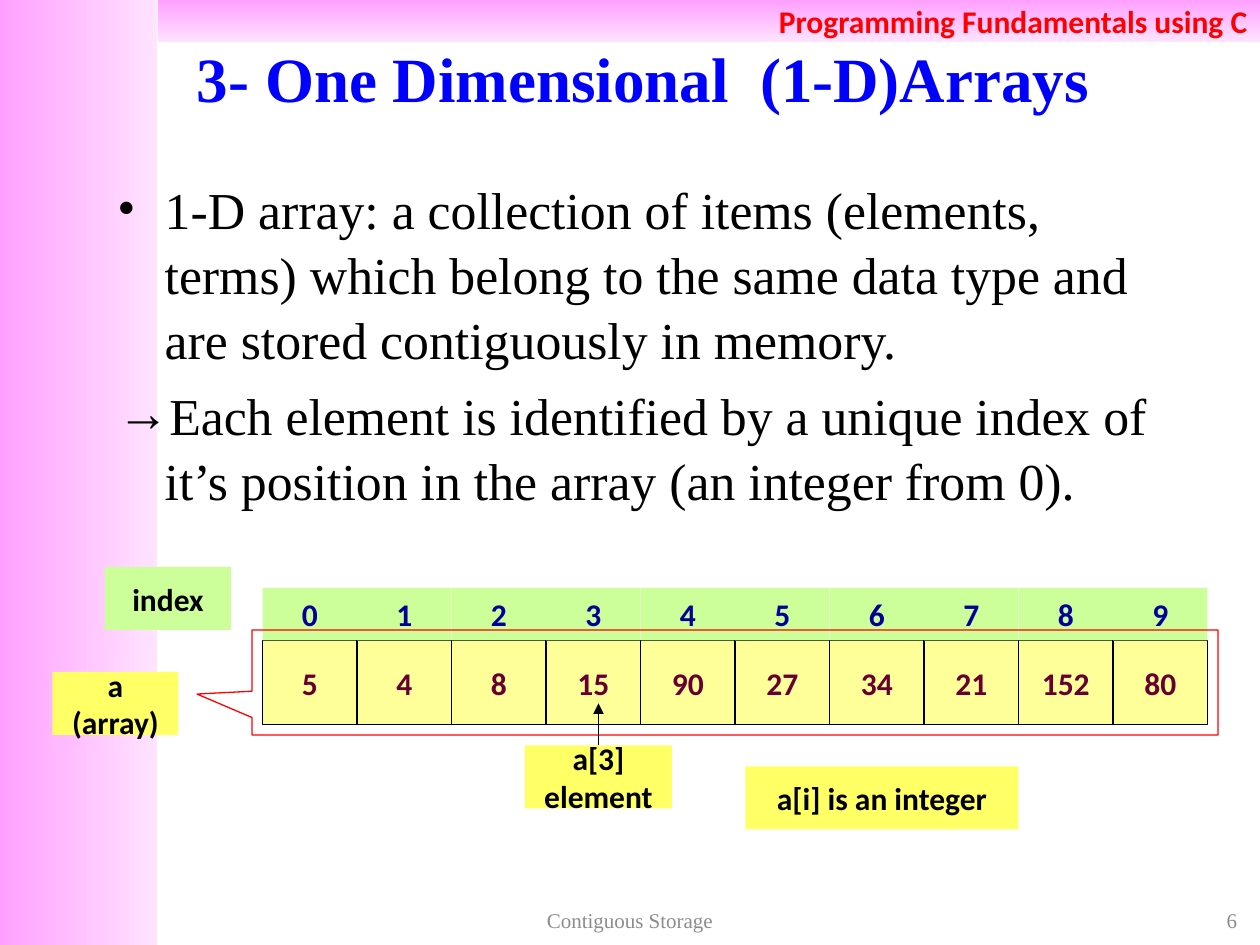
from collections import namedtuple
from dataclasses import dataclass

from lxml.etree import SubElement
from pptx import Presentation
from pptx.dml.color import RGBColor
from pptx.enum.shapes import MSO_CONNECTOR as Connector, MSO_SHAPE as Shape
from pptx.enum.text import MSO_ANCHOR as Anchor, PP_ALIGN as Align
from pptx.oxml.ns import qn
from pptx.util import Emu, Pt

PX = 7620
Box = namedtuple("Box", "left top width height")


@dataclass(frozen=True)
class Theme:
    """Colours, fonts and type sizes of the deck."""

    sans: str = "Calibri"
    serif: str = "Times New Roman"
    title_size: float = 36
    body_size: float = 29.6
    label_size: float = 18
    footer_size: float = 12
    black: str = "000000"
    red: str = "FF0000"
    title: str = "0000FF"
    footer: str = "8C8C8C"
    band_dark: str = "FFA0FF"
    band_light: str = "FFE3FF"
    green: str = "CCFF99"
    yellow: str = "FFFF66"
    cell: str = "FFFF99"
    value: str = "660033"
    index: str = "000099"


THEME = Theme()


def emu(*lengths):
    """Turn px lengths into EMU."""
    return [Emu(length * PX) for length in lengths]


def inside(box, left, top, width, height):
    """Return a box placed relative to the corner of another."""
    return Box(box.left + left, box.top + top, width, height)


def write(para, text, size, color, font, bold=False, align=Align.CENTER):
    """Add one styled run to a paragraph."""
    para.alignment = align
    span = para.add_run()
    span.text = text
    span.font.size = Pt(size)
    span.font.name = font
    span.font.bold = bold
    span.font.color.rgb = RGBColor.from_string(color)


def add_text(page, box, text, size, color, bold=False, align=Align.CENTER):
    """Place one line of serif text, centred vertically in a box."""
    frame = page.shapes.add_textbox(*emu(*box)).text_frame
    frame.word_wrap = True
    frame.vertical_anchor = Anchor.MIDDLE
    write(frame.paragraphs[0], text, size, color, THEME.serif, bold, align)


def add_block(page, box, fill=None, line=None, kind=Shape.RECTANGLE):
    """Place a flat preset shape with an optional fill and outline."""
    block = page.shapes.add_shape(kind, *emu(*box))
    block.shadow.inherit = False
    if fill:
        block.fill.solid()
        block.fill.fore_color.rgb = RGBColor.from_string(fill)
    else:
        block.fill.background()
    if line:
        block.line.color.rgb = RGBColor.from_string(line)
        block.line.width = Pt(0.75)
    else:
        block.line.fill.background()
    return block


def add_label(page, box, lines, fill, color=THEME.black, line=None):
    """Place a filled rectangle with bold centred lines."""
    frame = add_block(page, box, fill, line).text_frame
    frame.word_wrap = False
    frame.vertical_anchor = Anchor.MIDDLE
    for number, text in enumerate(lines):
        para = frame.add_paragraph() if number else frame.paragraphs[0]
        write(para, text, THEME.label_size, color, THEME.sans, True)


def add_band(page, box, angle):
    """Place a pink gradient band."""
    band = add_block(page, box)
    band.fill.gradient()
    band.fill.gradient_angle = angle
    for stop, color in zip(band.fill.gradient_stops, (THEME.band_dark, THEME.band_light)):
        stop.color.rgb = RGBColor.from_string(color)
    return band


def add_frame(page, box):
    """Place the side band and the course header."""
    side = 150
    add_band(page, inside(box, 0, 0, side, box.height), 0)
    header = add_band(page, inside(box, side, 0, box.width - side, 40), 270)
    frame = header.text_frame
    frame.vertical_anchor = Anchor.MIDDLE
    write(frame.paragraphs[0], "Programming Fundamentals using C", THEME.label_size,
          THEME.red, THEME.sans, True, Align.RIGHT)


def add_body(page, box, points):
    """Place bulleted paragraphs given as pairs of bullet and text."""
    frame = page.shapes.add_textbox(*emu(*box)).text_frame
    frame.word_wrap = True
    for number, (bullet, text) in enumerate(points):
        para = frame.add_paragraph() if number else frame.paragraphs[0]
        para.line_spacing = 1.05
        para.space_before = Pt(6)
        write(para, text, THEME.body_size, THEME.black, THEME.serif, align=Align.LEFT)
        props = para._p.get_or_add_pPr()
        props.set("marL", str(45 * PX))
        props.set("indent", str(-45 * PX))
        SubElement(props, qn("a:buFont"), typeface=THEME.serif)
        SubElement(props, qn("a:buChar"), char=bullet)


def add_arrow(page, start, end):
    """Draw a thin black line with an arrowhead at its end."""
    arrow = page.shapes.add_connector(Connector.STRAIGHT, *emu(*start, *end))
    arrow.line.color.rgb = RGBColor.from_string(THEME.black)
    arrow.line.width = Pt(0.75)
    SubElement(arrow.line._get_or_add_ln(), qn("a:tailEnd"), type="triangle")
    SubElement(arrow._element.spPr, qn("a:effectLst"))


def add_array(page, box, values):
    """Draw the array with its indices, callout and labels."""
    left, index_top, value_top, width = 200, 20, 70, 90
    for number, value in enumerate(values):
        x = left + number * width
        add_label(page, inside(box, x, value_top, width, 80), [str(value)],
                  THEME.cell, THEME.value, THEME.black)
        add_label(page, inside(box, x, index_top, width, 50), [str(number)],
                  THEME.green, THEME.index)
    callout = add_block(page, inside(box, left - 10, 60, len(values) * width + 20, 100),
                        line=THEME.red, kind=Shape.RECTANGULAR_CALLOUT)
    callout.adjustments[0] = -0.557
    callout.adjustments[1] = 0.11
    add_label(page, inside(box, 50, 0, 120, 60), ["index"], THEME.green)
    add_label(page, inside(box, 0, 100, 120, 60), ["a", "(array)"], THEME.yellow)
    element = inside(box, 450, 170, 140, 60)
    add_label(page, element, ["a[3]", "element"], THEME.yellow)
    add_label(page, inside(box, 660, 190, 260, 60), ["a[i] is an integer"], THEME.yellow)
    center = element.left + element.width // 2
    add_arrow(page, (center, element.top), (center, element.top - 40))


def add_footer(page, box, text, number):
    """Place the centred footer and the page number."""
    add_text(page, inside(box, 410, 0, 380, box.height), text, THEME.footer_size, THEME.footer)
    add_text(page, inside(box, 910, 0, 280, box.height), number, THEME.footer_size,
             THEME.footer, align=Align.RIGHT)


def main():
    """Build the slide and save the deck."""
    deck = Presentation()
    deck.slide_width, deck.slide_height = emu(1200, 900)
    page = deck.slides.add_slide(deck.slide_layouts[6])
    add_frame(page, Box(0, 0, 1200, 900))
    add_text(page, Box(100, 36, 1040, 75), "3- One Dimensional  (1-D)Arrays ",
             THEME.title_size, THEME.title, True)
    add_body(page, Box(100, 160, 1040, 350), [
        ("•", "1-D array: a collection of items (elements, terms) which belong to "
              "the same data type and are stored contiguously in memory."),
        ("→", "Each element is identified by a unique index of it’s position in "
              "the array (an integer from 0)."),
    ])
    add_array(page, Box(50, 540, 1110, 250), [5, 4, 8, 15, 90, 27, 34, 21, 152, 80])
    add_footer(page, Box(0, 860, 1200, 32), "Contiguous Storage", "6")
    deck.save("out.pptx")


if __name__ == "__main__":
    main()
